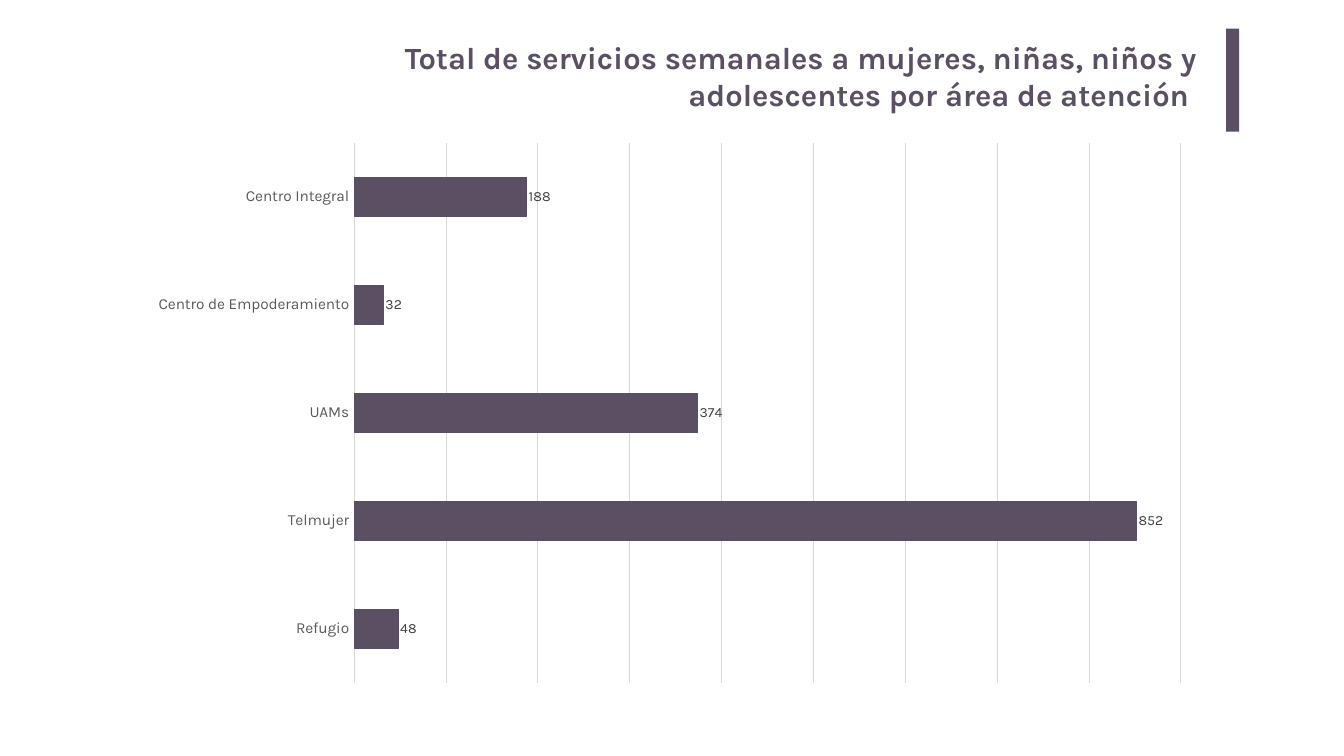
from lxml import etree
from pptx import Presentation
from pptx.chart.data import CategoryChartData
from pptx.dml.color import RGBColor
from pptx.enum.chart import XL_CHART_TYPE, XL_LABEL_POSITION, XL_TICK_LABEL_POSITION, XL_TICK_MARK
from pptx.enum.shapes import MSO_SHAPE
from pptx.enum.text import MSO_ANCHOR, MSO_AUTO_SIZE, PP_ALIGN
from pptx.oxml.ns import qn
from pptx.util import Inches, Pt

BAR_CLUSTERED = XL_CHART_TYPE.BAR_CLUSTERED
OUTSIDE_END = XL_LABEL_POSITION.OUTSIDE_END
LABELS_LOW = XL_TICK_LABEL_POSITION.LOW
NO_TICK = XL_TICK_MARK.NONE
RECTANGLE = MSO_SHAPE.RECTANGLE
TOP = MSO_ANCHOR.TOP
NO_AUTOFIT = MSO_AUTO_SIZE.NONE
RIGHT = PP_ALIGN.RIGHT

TITLE = "Total de servicios semanales a mujeres, niñas, niños y adolescentes por área de atención "
SERVICES = {
    "Centro Integral": 188,
    "Centro de Empoderamiento": 32,
    "UAMs": 374,
    "Telmujer": 852,
    "Refugio": 48,
}

THEME = {
    "font": "Karla",
    "plum": RGBColor.from_string("5B4F63"),
    "grid": RGBColor.from_string("D9D9D9"),
    "category": RGBColor.from_string("595959"),
    "value": RGBColor.from_string("404040"),
    "black": RGBColor.from_string("000000"),
    "title_size": 44,
    "category_size": 22,
    "value_size": 20,
    "chart_size": 10,
    "line_width": 0.75,
}

SLIDE_SIZE = (26.67, 15)
TITLE_BOX = (6.56, 0.67, 17.4, 2.04)
ACCENT_BOX = (24.33, 0.57, 0.26, 2.04)
CHART_BOX = (2.82, 2.61, 21.03, 11.16)
PLOT_SHARE = {"x": 0.2, "y": 0.02, "w": 0.78, "h": 0.96}


def inches(box):
    return [Inches(length) for length in box]


def set_font(font, role, color, bold=False):
    values = {"name": THEME["font"], "size": Pt(THEME[f"{role}_size"]), "bold": bold}
    for name, value in values.items():
        setattr(font, name, value)
    font.color.rgb = THEME[color]


def set_line(line, color):
    line.color.rgb = THEME[color]
    line.width = Pt(THEME["line_width"])


def add_title(slide):
    title = slide.shapes.title
    title.left, title.top, title.width, title.height = inches(TITLE_BOX)
    frame = title.text_frame
    frame.text = TITLE
    frame_format = {
        "word_wrap": True, "auto_size": NO_AUTOFIT, "vertical_anchor": TOP,
        "margin_left": Inches(0.2), "margin_right": Inches(0.2),
        "margin_top": Inches(0.1), "margin_bottom": Inches(0.1),
    }
    for name, value in frame_format.items():
        setattr(frame, name, value)
    paragraph = frame.paragraphs[0]
    paragraph.alignment = RIGHT
    set_font(paragraph.runs[0].font, "title", "plum", bold=True)


def add_accent(slide):
    accent = slide.shapes.add_shape(RECTANGLE, *inches(ACCENT_BOX))
    accent.shadow.inherit = False
    accent.fill.solid()
    accent.fill.fore_color.rgb = THEME["plum"]
    accent.line.fill.background()


def fix_plot_area(chart):
    """Place the inner plot area at fixed shares of the chart frame."""
    plot_area = chart.plots[0]._element.getparent()
    layout = plot_area.find(qn("c:layout"))
    if layout is None:
        layout = etree.Element(qn("c:layout"))
        plot_area.insert(0, layout)
    manual = etree.SubElement(layout, qn("c:manualLayout"))
    settings = {"layoutTarget": "inner", "xMode": "edge", "yMode": "edge", **PLOT_SHARE}
    for name, value in settings.items():
        etree.SubElement(manual, qn(f"c:{name}"), val=str(value))


def add_services_chart(slide):
    data = CategoryChartData()
    data.categories = list(SERVICES)
    data.add_series("Series 1", list(SERVICES.values()))
    chart = slide.shapes.add_chart(BAR_CLUSTERED, *inches(CHART_BOX), data).chart
    chart.has_title = False
    chart.has_legend = False
    set_font(chart.font, "chart", "black")
    fix_plot_area(chart)

    categories = chart.category_axis
    categories.reverse_order = True
    categories.major_tick_mark = NO_TICK
    categories.minor_tick_mark = NO_TICK
    categories.tick_label_position = LABELS_LOW
    set_font(categories.tick_labels.font, "category", "category")
    set_line(categories.format.line, "grid")

    values = chart.value_axis
    scale = {"minimum_scale": 0, "maximum_scale": 900, "major_unit": 100,
             "has_major_gridlines": True, "visible": False}
    for name, value in scale.items():
        setattr(values, name, value)
    set_line(values.major_gridlines.format.line, "grid")

    plot = chart.plots[0]
    plot.gap_width = 182
    plot.vary_by_categories = False
    bars = plot.series[0]
    bars.format.fill.solid()
    bars.format.fill.fore_color.rgb = THEME["plum"]
    set_line(bars.format.line, "plum")
    labels = bars.data_labels
    labels.show_value = True
    labels.position = OUTSIDE_END
    set_font(labels.font, "value", "value")


def main():
    presentation = Presentation()
    presentation.slide_width, presentation.slide_height = inches(SLIDE_SIZE)
    title_only = presentation.slide_layouts[5]
    slide = presentation.slides.add_slide(title_only)
    add_title(slide)
    add_accent(slide)
    add_services_chart(slide)
    presentation.save("out.pptx")


if __name__ == "__main__":
    main()
